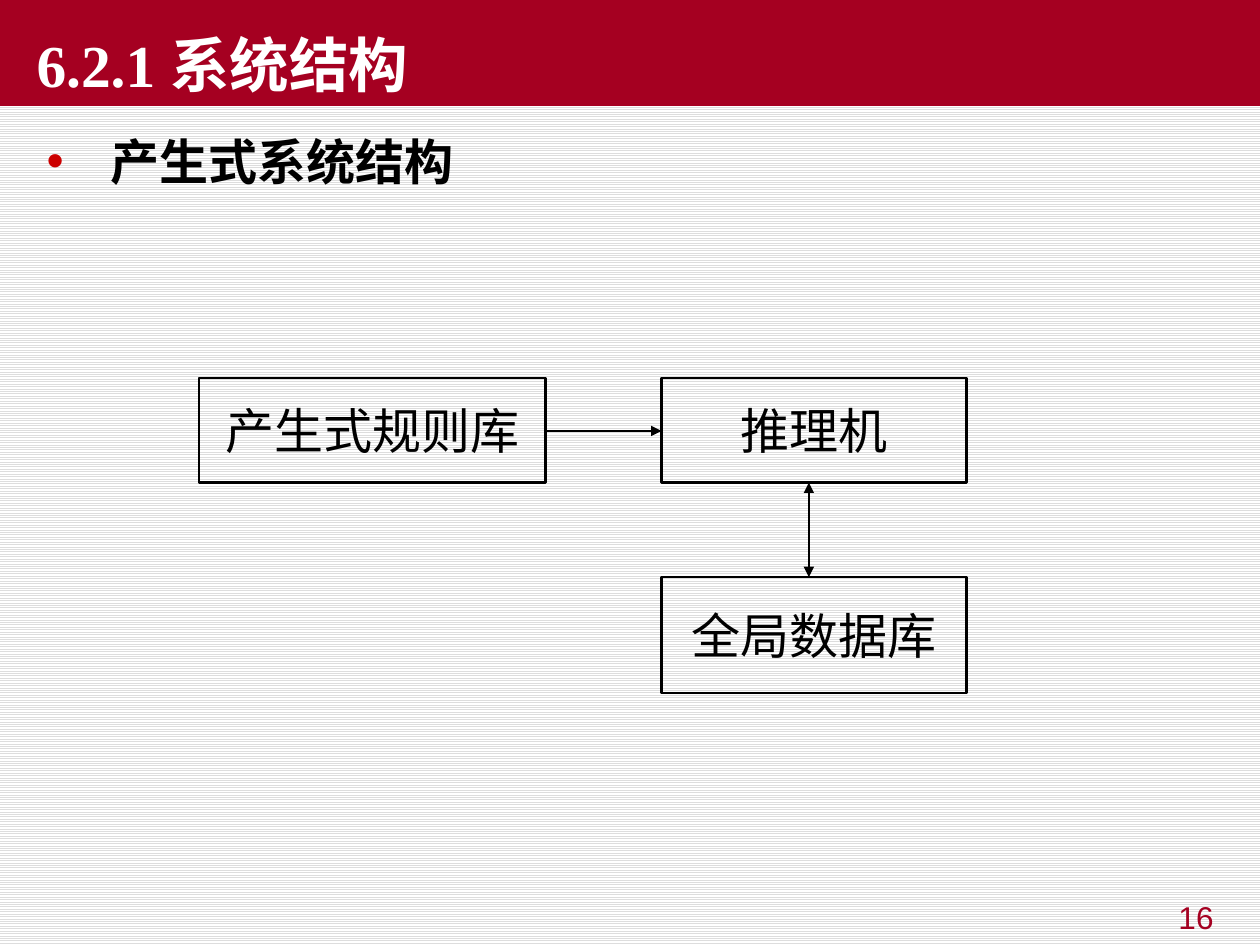
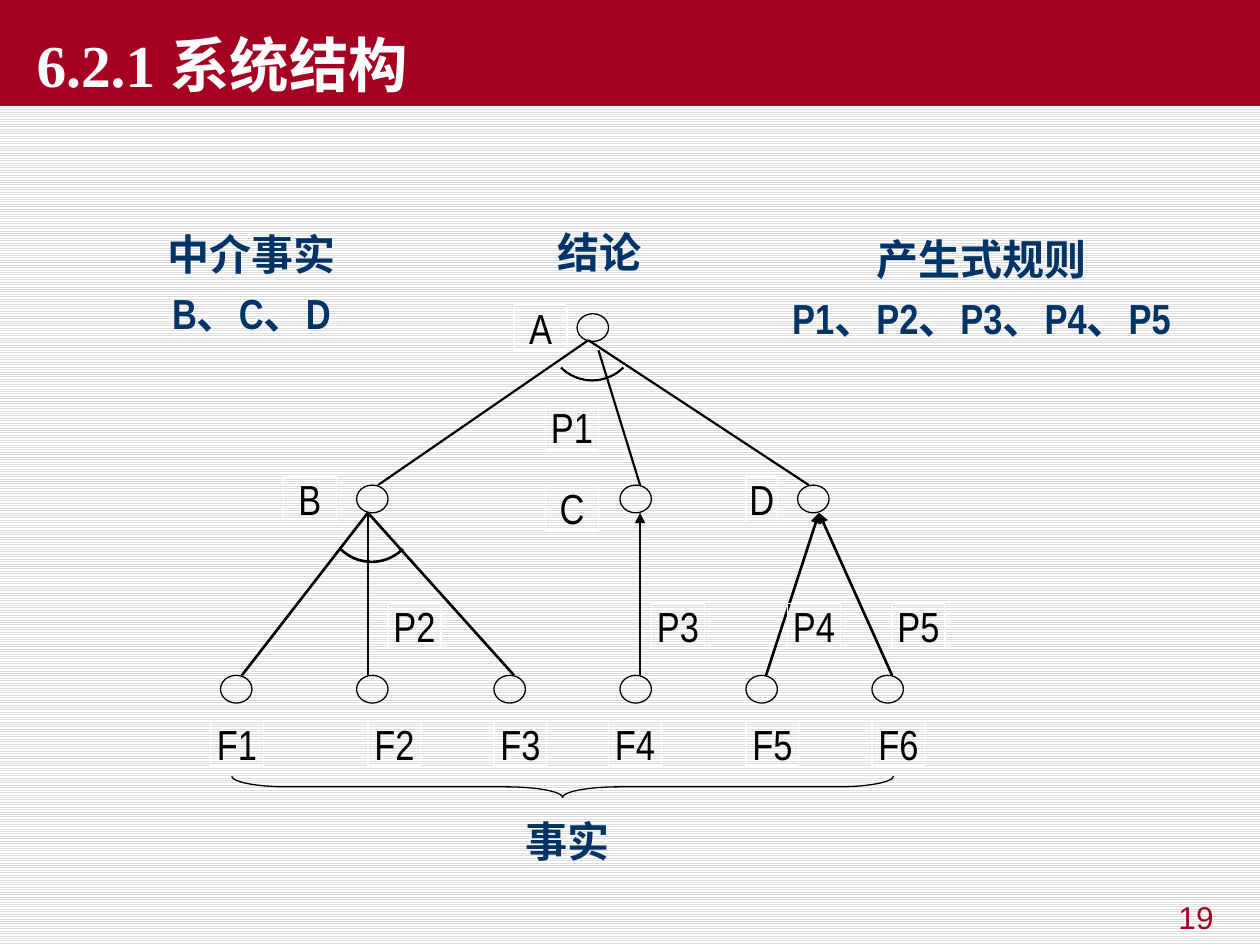
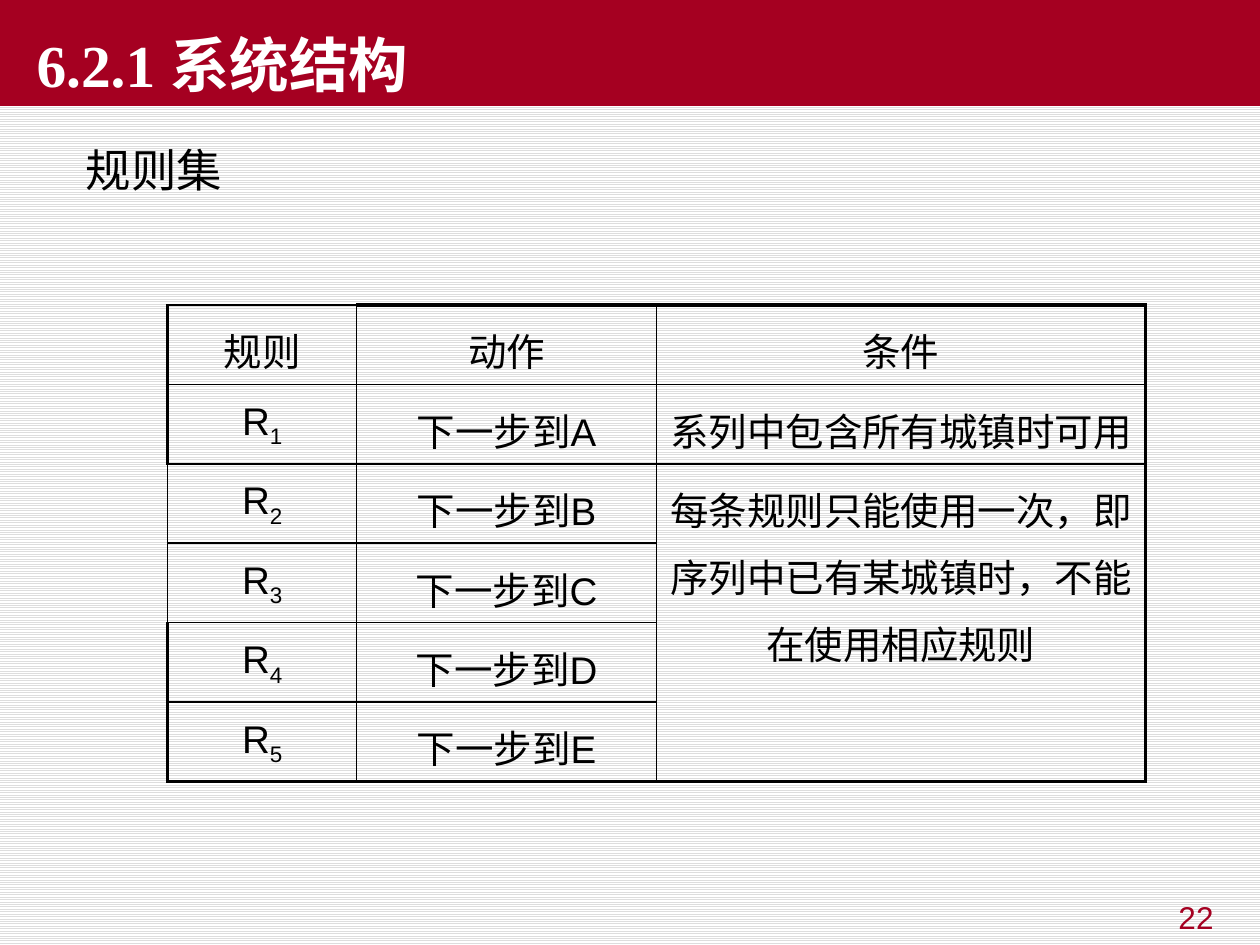
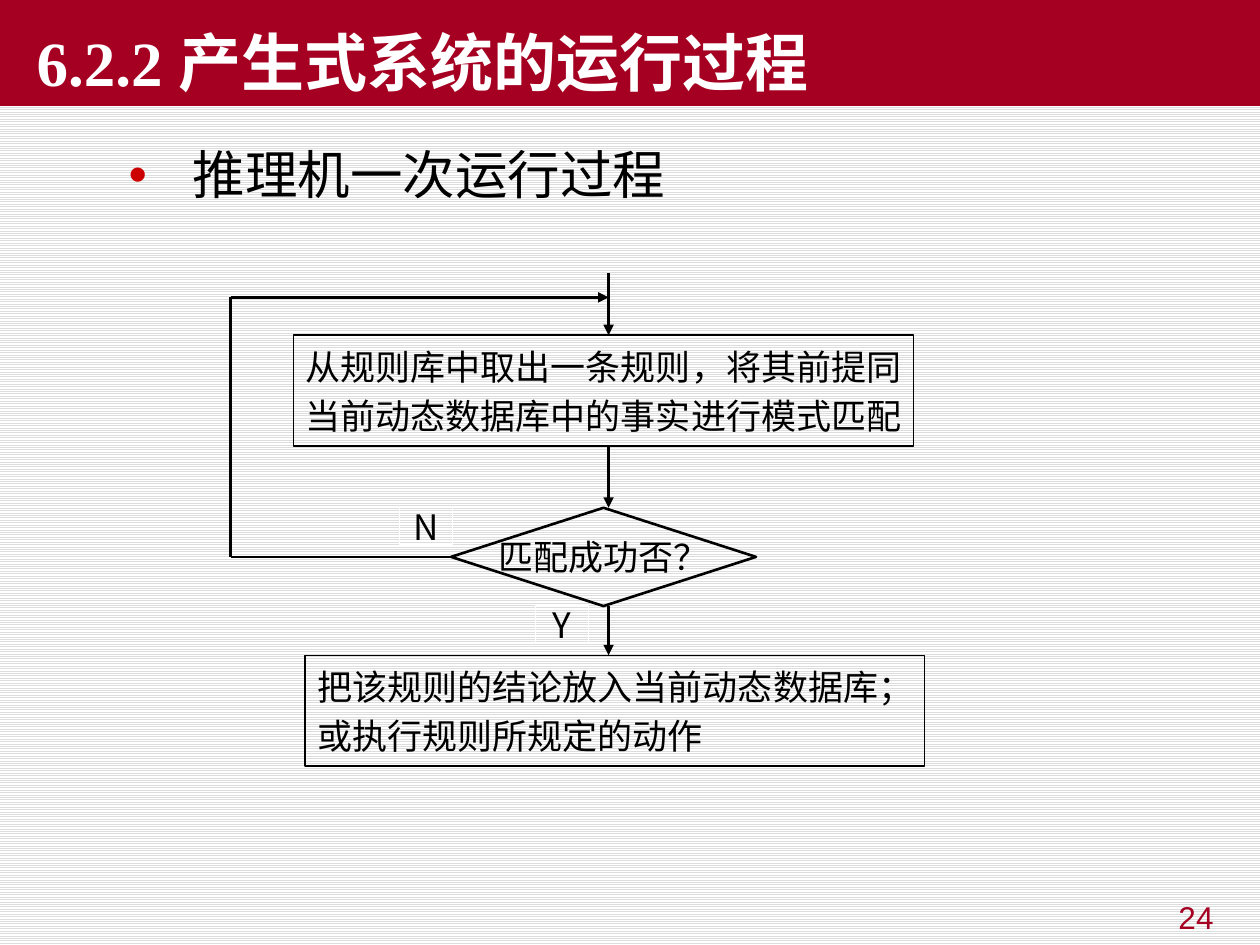
from dataclasses import dataclass
from math import cos, radians, sin

from lxml import etree
from pptx import Presentation
from pptx.dml.color import RGBColor
from pptx.enum.dml import MSO_PATTERN
from pptx.enum.shapes import MSO_CONNECTOR, MSO_SHAPE
from pptx.enum.text import MSO_ANCHOR, MSO_AUTO_SIZE, PP_ALIGN
from pptx.oxml.ns import qn
from pptx.util import Inches, Pt

LEFT, MID, RIGHT = PP_ALIGN.LEFT, PP_ALIGN.CENTER, PP_ALIGN.RIGHT
CENTRE, BASE, TOP = MSO_ANCHOR.MIDDLE, MSO_ANCHOR.BOTTOM, MSO_ANCHOR.TOP
RECT, OVAL = MSO_SHAPE.RECTANGLE, MSO_SHAPE.OVAL
DIAMOND, BRACE = MSO_SHAPE.DIAMOND, MSO_SHAPE.LEFT_BRACE
STRAIGHT = MSO_CONNECTOR.STRAIGHT
STRIPES = MSO_PATTERN.LIGHT_HORIZONTAL
FIXED = MSO_AUTO_SIZE.NONE
LISTED, PLAIN = 1, 5


@dataclass(frozen=True)
class Theme:
    band: str = "A50021"
    dot: str = "CC0000"
    ink: str = "000000"
    note: str = "003366"
    white: str = "FFFFFF"
    stripe: str = "DDDDDD"
    serif: str = "Times New Roman"
    sans: str = "Arial"
    slim: str = "Arial Narrow"
    han: str = "Noto Sans CJK SC"
    mark: str = "Noto Sans CJK JP"
    grand: int = 36
    head: int = 34
    lead: int = 30
    big: int = 28
    item: int = 26
    tag: int = 24
    cell: int = 22
    step: int = 20
    page: int = 18
    thin: float = 0.75
    fine: float = 1.25
    bold: float = 1.5
    rule: float = 1
    edge: float = 2.25


def rgb(tone):
    return RGBColor.from_string(tone)


def inch(values):
    return [Inches(v) for v in values]


def sub(parent, tag, **attrs):
    node = etree.SubElement(parent, qn(tag))
    for key, value in attrs.items():
        node.set(key, str(value))
    return node


class Deck:
    def __init__(self, theme):
        self.theme = theme
        self.prs = Presentation()
        self.prs.slide_width, self.prs.slide_height = inch((10, 7.5))
        fill = self.prs.slide_master.background.fill
        fill.patterned()
        fill.pattern = STRIPES
        fill.fore_color.rgb = rgb(theme.stripe)
        fill.back_color.rgb = rgb(theme.white)
        self.slide = None

    def start(self, title, page, layout=PLAIN, size=None):
        th = self.theme
        self.slide = self.prs.slides.add_slide(self.prs.slide_layouts[layout])
        head = self.slide.shapes.title
        self.place(head, (0, 0, 10, 0.84))
        head.fill.solid()
        head.fill.fore_color.rgb = rgb(th.band)
        self.frame(head.text_frame, [title], size or th.head, th.serif,
                   th.white, bold=True, align=LEFT, anchor=BASE)
        self.indent(head.text_frame, 0, 0.19)
        self.text((7.4, 7.02, 2.33, 0.52), [str(page)], th.page, th.sans,
                  th.band, align=RIGHT)

    def place(self, shape, box):
        shape.left, shape.top, shape.width, shape.height = inch(box)

    def indent(self, frame, margin, first):
        for para in frame.paragraphs:
            props = para._p.get_or_add_pPr()
            props.set("marL", str(Inches(margin)))
            props.set("indent", str(Inches(first)))

    def frame(self, frame, lines, size, face, tone=None, bold=False,
              align=MID, anchor=CENTRE, wrap=True, gap=0):
        frame.auto_size = FIXED
        frame.word_wrap = wrap
        frame.vertical_anchor = anchor
        self.fill(frame, lines, size, face, tone, bold, align, gap)

    def fill(self, frame, lines, size, face, tone=None, bold=False,
             align=MID, gap=0, lead=None):
        for i, line in enumerate(lines):
            para = frame.add_paragraph() if i else frame.paragraphs[0]
            para.alignment = align
            if lead:
                para.line_spacing = lead
            para.space_before = Pt(0)
            if gap:
                space = para._p.pPr.find(qn("a:spcBef"))
                space.remove(space[0])
                sub(space, "a:spcPct", val=gap * 1000)
            for run in [(line,)] if isinstance(line, str) else line:
                self.run(para, size, tone, bold, face, *run)

    def run(self, para, size, tone, bold, face, text, own=None, drop=0):
        run = para.add_run()
        run.text = text
        font = run.font
        font.size, font.bold, font.name = Pt(size), bold, own or face
        font.color.rgb = rgb(tone or self.theme.ink)
        props = run._r.get_or_add_rPr()
        sub(props, "a:ea", typeface=self.theme.han)
        if drop:
            props.set("baseline", str(drop * 1000))

    def list(self, box, text, size, bold=False, bullet=True):
        th = self.theme
        body = self.slide.placeholders[1]
        self.place(body, box)
        frame = body.text_frame
        self.frame(frame, [text], size, th.sans, bold=bold, align=LEFT,
                   anchor=TOP, gap=40)
        self.indent(frame, 0.51, -0.51)
        props = frame.paragraphs[0]._p.pPr
        if bullet:
            sub(sub(props, "a:buClr"), "a:srgbClr", val=th.dot)
            sub(props, "a:buFont", typeface=th.sans)
            sub(props, "a:buChar", char="•")
        else:
            sub(props, "a:buNone")

    def text(self, box, lines, size, face, tone, **style):
        shape = self.slide.shapes.add_textbox(*inch(box))
        self.frame(shape.text_frame, lines, size, face, tone, **style)

    def note(self, box, *lines):
        th = self.theme
        self.text(box, lines, th.tag, th.slim, th.note, bold=True,
                  wrap=False, gap=20)

    def trace(self, shape, width, tone=None):
        shape.shadow.inherit = False
        shape.fill.background()
        shape.line.color.rgb = rgb(tone or self.theme.ink)
        shape.line.width = Pt(width)

    def shape(self, kind, box, width, lines=(), size=None, face=None,
              tone=None, align=MID):
        shape = self.slide.shapes.add_shape(kind, *inch(box))
        self.trace(shape, width, tone)
        if lines:
            self.frame(shape.text_frame, lines, size, face or self.theme.slim,
                       align=align, wrap=False, gap=20)
        return shape

    def label(self, box, text, size, face=None):
        th = self.theme
        self.shape(RECT, box, th.thin, [text], size, face, th.white)

    def arc(self, x, y, width, radius=0.35):
        points = [(Inches(x + radius * cos(radians(a))),
                   Inches(y + radius * sin(radians(a))))
                  for a in range(135, 44, -5)]
        pen = self.slide.shapes.build_freeform(*points[0])
        pen.add_line_segments(points[1:], close=False)
        self.trace(pen.convert_to_shape(), width)

    def line(self, start, end, width, head=False, tail=False):
        link = self.slide.shapes.add_connector(
            STRAIGHT, *inch(start), *inch(end))
        link.line.color.rgb = rgb(self.theme.ink)
        link.line.width = Pt(width)
        props = link._element.spPr
        stroke = props.find(qn("a:ln"))
        for tag, used in (("a:headEnd", head), ("a:tailEnd", tail)):
            if used:
                sub(stroke, tag, type="triangle")
        sub(props, "a:effectLst")

    def border(self, cell, **widths):
        props = cell._tc.get_or_add_tcPr()
        for side in "LRTB":
            line = sub(props, f"a:ln{side}", w=Pt(widths[side]))
            sub(sub(line, "a:solidFill"), "a:srgbClr", val=self.theme.ink)
        cell.fill.background()

    def table(self, box, cols, rows, data, span, slim):
        th = self.theme
        table = self.slide.shapes.add_table(
            len(rows), len(cols), *inch(box)).table
        table.first_row = table.horz_banding = False
        for col, width in zip(table.columns, cols):
            col.width = Inches(width)
        for row, height in zip(table.rows, rows):
            row.height = Inches(height)
        last, end = len(rows) - 1, len(cols) - 1

        def weigh(thick):
            return th.edge if thick else th.rule

        for r in range(len(rows)):
            for c in range(len(cols)):
                cell = table.cell(r, c)
                merged = span[0] <= r <= span[1] and c == end
                self.border(cell, L=weigh(c == 0 and r not in slim),
                            R=weigh(c == end), T=weigh(r == 0 and c > 0),
                            B=weigh(r == last or merged))
                if c < len(data[r]):
                    self.fill(cell.text_frame, [data[r][c]], th.cell,
                              th.sans, gap=40, lead=1.2)
        table.cell(span[0], end).merge(table.cell(span[1], end))


def parts(deck):
    th = deck.theme
    deck.start("6.2.1 系统结构", 16, LISTED)
    deck.list((0.27, 0.99, 9.45, 0.82), "产生式系统结构", th.big, bold=True)
    for box, name in (((1.58, 3, 2.75, 0.83), "产生式规则库"),
                      ((5.25, 3, 2.42, 0.83), "推理机"),
                      ((5.25, 4.58, 2.42, 0.92), "全局数据库")):
        deck.shape(RECT, box, th.bold, [name], th.big)
    deck.line((4.33, 3.42), (5.25, 3.42), th.bold, tail=True)
    deck.line((6.42, 3.83), (6.42, 4.58), th.bold, head=True, tail=True)


def tree(deck):
    th = deck.theme
    deck.start("6.2.1 系统结构", 19)
    levels = ((2.49, (4.58,)), (3.85, (2.83, 4.92, 6.33)),
              (5.36, (1.75, 2.83, 3.92, 4.92, 5.92, 6.92)))
    for y, places in levels:
        for x in places:
            deck.shape(OVAL, (x, y, 0.25, 0.22), th.thin)
    for start, x in (((4.67, 2.7), 3), ((4.75, 2.78), 5.08),
                     ((4.67, 2.7), 6.42)):
        deck.line(start, (x, 3.85), th.fine)
    for x in (1.92, 2.92, 4.08):
        deck.line((2.92, 4.07), (x, 5.36), th.bold)
    for x, goal in ((5.08, 5.08), (6.08, 6.5), (7.08, 6.5)):
        deck.line((x, 5.36), (goal, 4.07), th.bold, tail=True)
    deck.arc(4.7, 2.67, th.fine)
    deck.arc(2.95, 4.11, th.bold)
    labels = (
        (2.42, (("A", 4.08),)),
        (3.21, (("P1", 4.33),)),
        (3.78, (("B", 2.25),)),
        (3.85, (("C", 4.33),)),
        (4.79, (("P2", 3.08), ("P3", 5.17), ("P4", 6.25), ("P5", 7.08))),
        (5.72, (("F1", 1.67), ("F2", 2.92), ("F3", 3.92), ("F4", 4.83),
                ("F5", 5.92), ("F6", 6.92))),
    )
    for y, row in labels:
        for name, x in row:
            deck.label((x, y, 0.42, 0.36), name, th.tag)
    deck.label((5.92, 3.78, 0.25, 0.36), "D", th.tag)
    brace = deck.shape(BRACE, (4.38, 3.62, 0.17, 5.25), th.thin)
    brace.rotation = 270
    brace.adjustments[0] = 2.625
    deck.note((3.92, 6.42, 1.17, 0.5), "事实")
    deck.note((1.08, 1.83, 1.83, 0.83), "中介事实", "B、C、D")
    deck.note((6.33, 1.83, 2.92, 0.92), "产生式规则", "P1、P2、P3、P4、P5")
    deck.note((4.17, 1.75, 1.17, 0.5), "结论")


def rules(deck):
    deck.start("6.2.1 系统结构", 22, LISTED)
    deck.list((0.58, 1.08, 9.45, 5.91), "规则集", deck.theme.item,
              bullet=False)
    data = [["规则", "动作", "条件"]]
    for i, town in enumerate("ABCDE", 1):
        data.append([[("R",), (str(i), None, -25)], f"下一步到{town}"])
    data[1].append("系列中包含所有城镇时可用")
    data[2].append("每条规则只能使用一次，即序列中已有某城镇时，不能在使用相应规则")
    deck.table((1.33, 2.42, 7.75, 3.24), (1.5, 2.38, 3.88),
               (0.53, 0.36, 0.47, 0.42, 0.42, 0.47), data, (2, 5), (2, 3))


def flow(deck):
    th = deck.theme
    deck.start([("6.2.2 ",), ("产生式系统的", th.han), ("运行过程",)],
               24, LISTED, th.grand)
    deck.list((0.92, 1.08, 8.5, 0.58), "推理机一次运行过程", th.lead)
    deck.shape(RECT, (2.33, 2.66, 4.92, 0.88), th.thin,
               ["从规则库中取出一条规则，将其前提同",
                "当前动态数据库中的事实进行模式匹配"], th.step)
    deck.shape(DIAMOND, (3.58, 4.03, 2.42, 0.78), th.bold,
               ["匹配成功否？"], th.step)
    deck.shape(RECT, (2.42, 5.2, 4.92, 0.88), th.thin,
               ["把该规则的结论放入当前动态数据库；",
                "或执行规则所规定的动作"], th.step, align=LEFT)
    for top, low in ((3.54, 4.03), (4.81, 5.2), (2.17, 2.66)):
        deck.line((4.83, top), (4.83, low), th.bold, tail=True)
    loop = ((3.58, 4.42), (1.83, 4.42), (1.83, 2.36), (4.83, 2.36))
    for start, end in zip(loop, loop[1:]):
        deck.line(start, end, th.bold, tail=end == loop[-1])
    deck.label((4.25, 4.81, 0.42, 0.29), "Y", th.step, th.mark)
    deck.label((3.17, 4.03, 0.42, 0.29), "N", th.step, th.mark)


def main():
    deck = Deck(Theme())
    for build in (parts, tree, rules, flow):
        build(deck)
    deck.prs.save("out.pptx")


if __name__ == "__main__":
    main()
